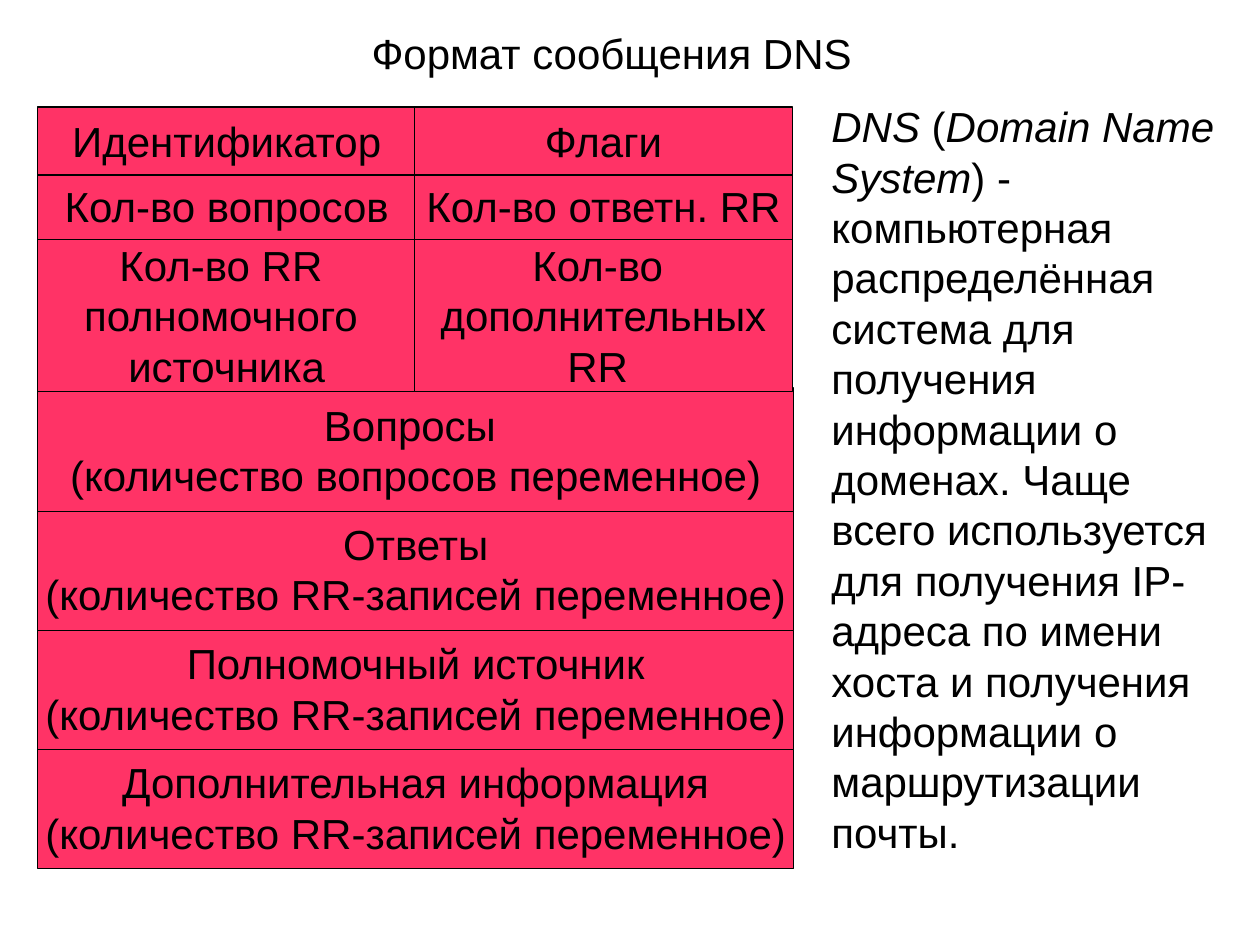
from pptx import Presentation
from pptx.dml.color import RGBColor
from pptx.enum.shapes import MSO_SHAPE as Shape
from pptx.enum.text import MSO_ANCHOR as Anchor, PP_ALIGN as Align
from pptx.util import Inches, Pt

COLORS = {"field": "FF3366", "ink": "000000"}
LEFT, COLUMN, OVERLAP = 0.3, 2.99, 0.01
RECORDS = "(количество RR-записей переменное)"

header_rows = [
    (0.85, 0.54, [["Идентификатор"], ["Флаги"]]),
    (1.36, 0.54, [["Кол-во вопросов"], ["Кол-во ответн. RR"]]),
    (1.89, 1.22, [["Кол-во RR ", "полномочного ", "источника"],
                  ["Кол-во ", "дополнительных", "RR "]]),
]
sections = [
    ["Вопросы ", "(количество вопросов переменное)"],
    ["Ответы", RECORDS],
    ["Полномочный источник", RECORDS],
    ["Дополнительная информация", RECORDS],
]
SECTION_TOP, SECTION_STEP, SECTION_HEIGHT = 3.08, 0.945, 0.98


def add_span(para, text, italic=False):
    span = para.add_run()
    span.text = text
    span.font.name = "Arial"
    span.font.size = Pt(24)
    span.font.italic = italic
    span.font.color.rgb = RGBColor.from_string(COLORS["ink"])


def add_field(shapes, left, top, width, height, lines):
    box = shapes.add_shape(Shape.RECTANGLE, Inches(left), Inches(top),
                           Inches(width), Inches(height))
    box.shadow.inherit = False
    box.fill.solid()
    box.fill.fore_color.rgb = RGBColor.from_string(COLORS["field"])
    box.line.color.rgb = RGBColor.from_string(COLORS["ink"])
    box.line.width = Pt(0.75)
    frame = box.text_frame
    frame.word_wrap = False
    frame.vertical_anchor = Anchor.MIDDLE
    for index, line in enumerate(lines):
        para = frame.add_paragraph() if index else frame.paragraphs[0]
        para.alignment = Align.CENTER
        add_span(para, line)


deck = Presentation()
deck.slide_width, deck.slide_height = Inches(10), Inches(7.5)
page = deck.slides.add_slide(deck.slide_layouts[6])
message = page.shapes.add_group_shape().shapes

for index, lines in reversed(list(enumerate(sections))):
    add_field(message, LEFT, SECTION_TOP + index * SECTION_STEP,
              2 * COLUMN + 2 * OVERLAP, SECTION_HEIGHT, lines)

for top, height, cells in reversed(header_rows):
    for column, lines in enumerate(cells):
        add_field(message, LEFT + column * COLUMN, top, COLUMN + OVERLAP, height, lines)

captions = [
    ((2.85, 0.17, 4.75, 0.5), [("Формат сообщения DNS", False)]),
    ((6.5, 0.75, 3.25, 6.1), [
        ("DNS", True),
        (" (", False),
        ("Domain Name System", True),
        (") - компьютерная распределённая система для получения информации "
         "о доменах. Чаще всего используется для получения IP-адреса по имени "
         "хоста и получения информации о маршрутизации почты.", False),
    ]),
]
for place, spans in captions:
    box = page.shapes.add_textbox(*map(Inches, place))
    box.text_frame.word_wrap = True
    for text, italic in spans:
        add_span(box.text_frame.paragraphs[0], text, italic)

deck.save("out.pptx")
